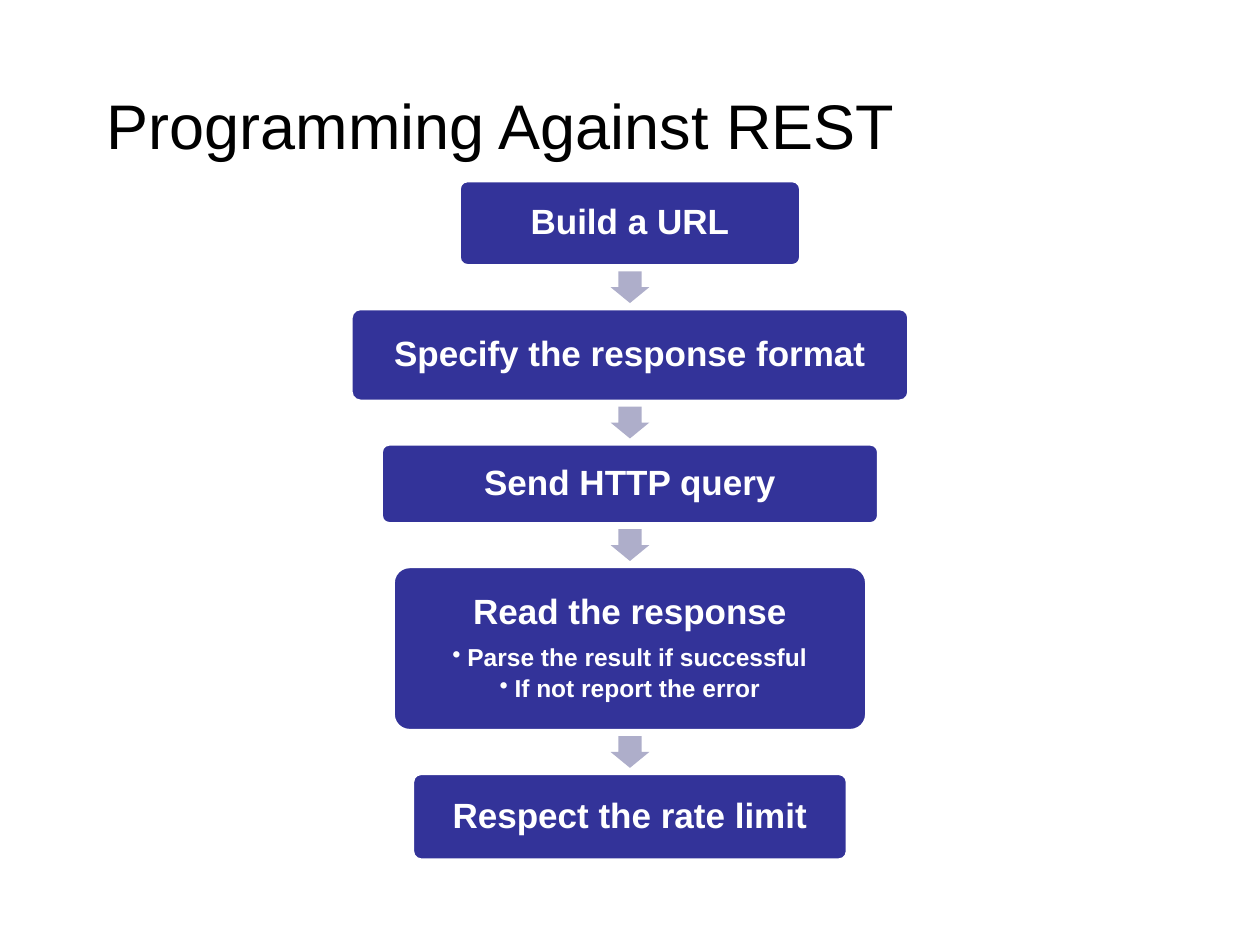
from lxml.etree import SubElement
from pptx import Presentation
from pptx.dml.color import RGBColor
from pptx.enum.shapes import MSO_SHAPE as Shape
from pptx.enum.text import MSO_ANCHOR as Anchor, PP_ALIGN as Align
from pptx.oxml.ns import qn
from pptx.util import Cm, Pt

FONT = "Arial"
MID, TOP, GAP = 12.7, 3.64, 0.86
STEPS = [
    (6.89, 1.72, "Build a URL", []),
    (11.25, 1.87, "Specify the response format", []),
    (10.03, 1.61, "Send HTTP query", []),
    (9.55, 3.31, "Read the response",
     ["Parse the result if successful", "If not report the error"]),
    (8.77, 1.75, "Respect the rate limit", []),
]


def paint(target, color):
    """Set a fill to a solid colour given as a hex string."""
    target.solid()
    target.fore_color.rgb = RGBColor.from_string(color)


def add_run(para, text, size, color, bold=False):
    """Append one formatted run to a paragraph."""
    run = para.add_run()
    run.text = text
    font = run.font
    font.name, font.size, font.bold = FONT, Pt(size), bold
    paint(font.fill, color)


def add_line(para, text, size, after):
    """Write one centred line of a step."""
    para.alignment = Align.CENTER
    para.line_spacing = 0.9
    para.space_after = Pt(after)
    add_run(para, text, size, "FFFFFF", True)


def add_bullet(para):
    """Give a paragraph a hanging bullet."""
    props = para._p.get_or_add_pPr()
    props.set("marL", str(Cm(0.3)))
    props.set("indent", str(-Cm(0.3)))
    SubElement(props, qn("a:buChar"), char="•")


def add_shape(slide, kind, top, width, height, color, adjust):
    """Add a filled shape centred on the flow's axis."""
    shape = slide.shapes.add_shape(
        kind, Cm(MID - width / 2), Cm(top), Cm(width), Cm(height))
    shape.shadow.inherit = False
    paint(shape.fill, color)
    for i, value in enumerate(adjust):
        shape.adjustments[i] = value
    return shape


def add_step(slide, top, width, height, head, points):
    """Add a rounded box with a heading and optional bullets."""
    box = add_shape(slide, Shape.ROUNDED_RECTANGLE, top, width, height,
                    "333399", [0.1])
    paint(box.line.fill, "FFFFFF")
    box.line.width = Pt(2)
    frame = box.text_frame
    frame.word_wrap = True
    frame.vertical_anchor = Anchor.MIDDLE
    frame.margin_left = frame.margin_right = Cm(0.25)
    frame.margin_top = frame.margin_bottom = Cm(0.25)
    add_line(frame.paragraphs[0], head, 20, 8)
    for point in points:
        para = frame.add_paragraph()
        para.level = 1
        add_line(para, point, 14, 2.7)
        add_bullet(para)


def add_arrow(slide, mid):
    """Add a down arrow centred at a height."""
    height = 0.64
    arrow = add_shape(slide, Shape.DOWN_ARROW, mid - height / 2, 0.78, height,
                      "AEAECA", [0.6, 0.5])
    arrow.line.fill.background()


def add_title(slide, text):
    """Place and fill the title placeholder."""
    title = slide.shapes.title
    title.left, title.top = Cm(1.9), Cm(1.47)
    title.width, title.height = Cm(21.6), Cm(2.54)
    frame = title.text_frame
    frame.vertical_anchor = Anchor.TOP
    frame.margin_top = Cm(0.27)
    para = frame.paragraphs[0]
    para.alignment = Align.LEFT
    add_run(para, text, 36, "000000")


def main():
    """Build the slide and save it."""
    deck = Presentation()
    deck.slide_width, deck.slide_height = Cm(25.4), Cm(19.05)
    slide = deck.slides.add_slide(deck.slide_layouts[5])
    paint(slide.background.fill, "FFFFFF")
    add_title(slide, "Programming Against REST")
    top = TOP
    for i, (width, height, head, points) in enumerate(STEPS):
        if i:
            add_arrow(slide, top - GAP / 2)
        add_step(slide, top, width, height, head, points)
        top += height + GAP
    deck.save("out.pptx")


if __name__ == "__main__":
    main()
